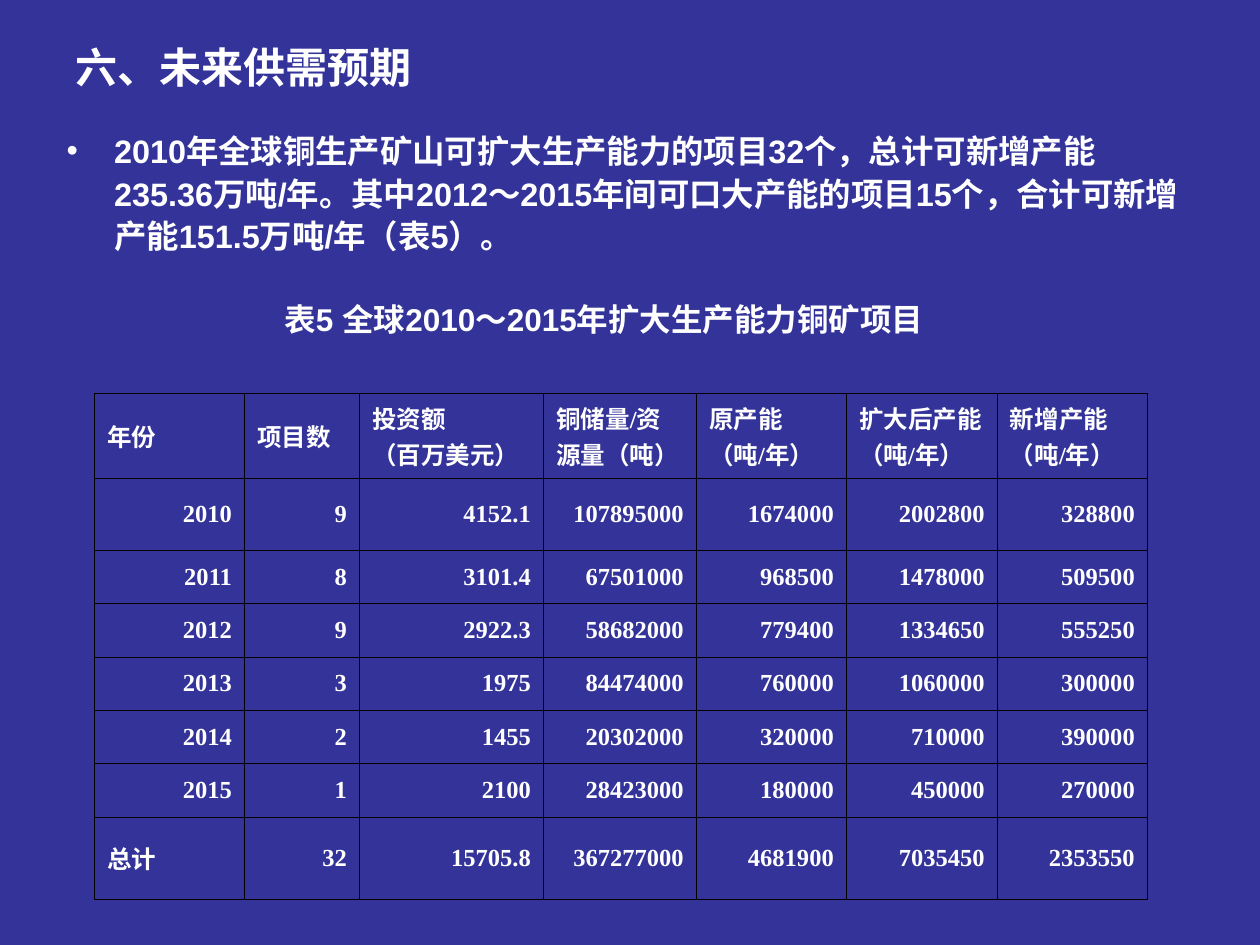
from lxml import etree
from pptx import Presentation
from pptx.dml.color import RGBColor
from pptx.enum import text
from pptx.oxml import ns
from pptx.util import Pt

TITLE = "六、未来供需预期"
SUMMARY = (
    "2010年全球铜生产矿山可扩大生产能力的项目32个，总计可新增产能235.36万吨/年。"
    "其中2012～2015年间可口大产能的项目15个，合计可新增产能151.5万吨/年（表5）。"
)
CAPTION = "表5 全球2010～2015年扩大生产能力铜矿项目"
HEADER = [
    ["年份"],
    ["项目数"],
    ["投资额", "（百万美元）"],
    ["铜储量/资", "源量（吨）"],
    ["原产能", "（吨/年）"],
    ["扩大后产能", "（吨/年）"],
    ["新增产能", "（吨/年）"],
]
PROJECTS = [
    ["2010", "9", "4152.1", "107895000", "1674000", "2002800", "328800"],
    ["2011", "8", "3101.4", "67501000", "968500", "1478000", "509500"],
    ["2012", "9", "2922.3", "58682000", "779400", "1334650", "555250"],
    ["2013", "3", "1975", "84474000", "760000", "1060000", "300000"],
    ["2014", "2", "1455", "20302000", "320000", "710000", "390000"],
    ["2015", "1", "2100", "28423000", "180000", "450000", "270000"],
    ["总计", "32", "15705.8", "367277000", "4681900", "7035450", "2353550"],
]
COLUMN_WIDTHS = [85.75, 65.75, 105.1, 87.4, 85.75, 86.25, 85.75]
ROW_HEIGHTS = [48.6, 41.1] + [30.5] * 5 + [46.9]

NAVY = RGBColor(0x33, 0x33, 0x99)
WHITE = RGBColor(0xFF, 0xFF, 0xFF)
BLACK = RGBColor(0, 0, 0)


def write(paragraph, words, size, face):
    run = paragraph.add_run()
    run.text = words
    run.font.size = Pt(size)
    run.font.name = face
    run.font.bold = True
    run.font.color.rgb = WHITE


def add_text(slide, box, words, size, wrap=True):
    frame = slide.shapes.add_textbox(*map(Pt, box)).text_frame
    frame.word_wrap = wrap
    write(frame.paragraphs[0], words, size, "Arial")
    return frame


def add_bullet(paragraph, indent):
    properties = paragraph._p.get_or_add_pPr()
    properties.set("marL", str(Pt(indent)))
    properties.set("indent", str(-Pt(indent)))
    color = etree.SubElement(properties, ns.qn("a:buClr"))
    etree.SubElement(color, ns.qn("a:srgbClr"), val=str(WHITE))
    etree.SubElement(properties, ns.qn("a:buFont"), typeface="Arial")
    etree.SubElement(properties, ns.qn("a:buChar"), char="•")


def add_borders(cell):
    properties = cell._tc.get_or_add_tcPr()
    for position, side in enumerate(("a:lnL", "a:lnR", "a:lnT", "a:lnB")):
        line = etree.Element(ns.qn(side), w=str(Pt(0.45)))
        fill = etree.SubElement(line, ns.qn("a:solidFill"))
        etree.SubElement(fill, ns.qn("a:srgbClr"), val=str(BLACK))
        properties.insert(position, line)


def fill_cell(cell, lines, align):
    cell.fill.background()
    add_borders(cell)
    cell.vertical_anchor = text.MSO_ANCHOR.MIDDLE
    frame = cell.text_frame
    for index, line in enumerate(lines):
        paragraph = frame.add_paragraph() if index else frame.paragraphs[0]
        paragraph.alignment = align
        write(paragraph, line, 14, "Times New Roman")


def add_project_table(slide):
    rows = [HEADER] + [[[value] for value in row] for row in PROJECTS]
    table = slide.shapes.add_table(
        len(rows), len(HEADER), Pt(54), Pt(224.8),
        Pt(sum(COLUMN_WIDTHS)), Pt(sum(ROW_HEIGHTS)),
    ).table
    table.first_row = False
    table.horz_banding = False
    for column, width in zip(table.columns, COLUMN_WIDTHS):
        column.width = Pt(width)
    for row, height in zip(table.rows, ROW_HEIGHTS):
        row.height = Pt(height)
    for r, row in enumerate(rows):
        for c, lines in enumerate(row):
            label = r == 0 or lines == ["总计"]
            align = text.PP_ALIGN.LEFT if label else text.PP_ALIGN.RIGHT
            fill_cell(table.cell(r, c), lines, align)


def main():
    deck = Presentation()
    deck.slide_width, deck.slide_height = Pt(720), Pt(540)
    slide = deck.slides.add_slide(deck.slide_layouts[6])
    slide.background.fill.solid()
    slide.background.fill.fore_color.rgb = NAVY

    title = add_text(slide, (36, 21.6, 648, 33), TITLE, 24)
    title.vertical_anchor = text.MSO_ANCHOR.MIDDLE

    summary = add_text(slide, (31, 54.7, 653, 98.6), SUMMARY, 18.5)
    summary.margin_top = Pt(18)
    summary.paragraphs[0].line_spacing = 1.1
    add_bullet(summary.paragraphs[0], 27.2)

    add_text(slide, (155.5, 167.8, 405.4, 28.8), CAPTION, 18, wrap=False)
    add_project_table(slide)
    deck.save("out.pptx")


if __name__ == "__main__":
    main()
